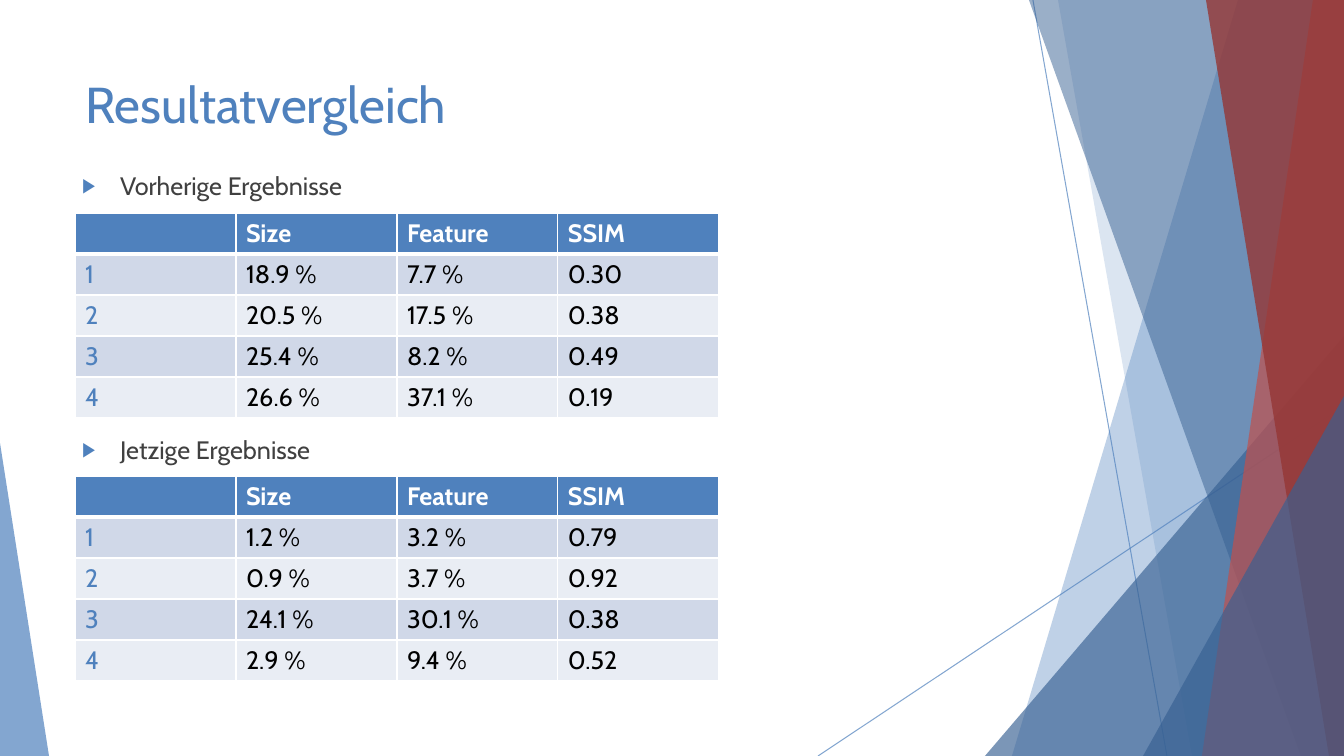
from dataclasses import dataclass

from lxml import etree
from pptx import Presentation
from pptx.dml.color import RGBColor
from pptx.enum.shapes import MSO_CONNECTOR, MSO_SHAPE
from pptx.enum.text import MSO_ANCHOR, MSO_AUTO_SIZE, PP_ALIGN
from pptx.oxml.ns import qn
from pptx.util import Pt

EMU_PER_PX = 914400 / 100.8
SLIDE_WIDTH, SLIDE_HEIGHT = 1344, 756
STRAIGHT = MSO_CONNECTOR.STRAIGHT
TRIANGLE = MSO_SHAPE.ISOSCELES_TRIANGLE
TOP = MSO_ANCHOR.TOP
NO_AUTOFIT = MSO_AUTO_SIZE.NONE
LEFT = PP_ALIGN.LEFT


@dataclass(frozen=True)
class Theme:
    font: str = "Cabin"
    title_size: int = 36
    text_size: int = 18
    blue: str = "4F81BD"
    dark_blue: str = "376092"
    red: str = "C0504D"
    dark_red: str = "953735"
    grey: str = "404040"
    black: str = "000000"
    white: str = "FFFFFF"
    odd_row: str = "D0D8E8"
    even_row: str = "E9EDF4"


THEME = Theme()

RESULT_HEADER = ["", "Size", "Feature", "SSIM"]
PREVIOUS_RESULTS = [
    ["1", "18.9 %", "7.7 %", "0.30"],
    ["2", "20.5 %", "17.5 %", "0.38"],
    ["3", "25.4 %", "8.2 %", "0.49"],
    ["4", "26.6 %", "37.1 %", "0.19"],
]
CURRENT_RESULTS = [
    ["1", "1.2 %", "3.2 %", "0.79"],
    ["2", "0.9 %", "3.7 %", "0.92"],
    ["3", "24.1 %", "30.1 %", "0.38"],
    ["4", "2.9 %", "9.4 %", "0.52"],
]


def px(length):
    return round(length * EMU_PER_PX)


def rgb(color):
    return RGBColor.from_string(color)


def write_text(paragraph, text, size=THEME.text_size, color=THEME.black, bold=False, space_before=0):
    paragraph.text = text
    paragraph.alignment = LEFT
    paragraph.space_before = Pt(space_before)
    font = paragraph.font
    font.name = THEME.font
    font.size = Pt(size)
    font.bold = bold
    font.color.rgb = rgb(color)


def set_alpha(parent, percent):
    """Make the solid colour inside a fill or line element transparent."""
    color = parent.find(".//" + qn("a:srgbClr"))
    etree.SubElement(color, qn("a:alpha"), val=str(percent * 1000))


def style_facet(shape, color, opacity):
    shape.shadow.inherit = False
    shape.line.fill.background()
    shape.fill.solid()
    shape.fill.fore_color.rgb = rgb(color)
    set_alpha(shape.fill._xPr, opacity)


def add_polygon(slide, points, color, opacity):
    scaled = [(px(x), px(y)) for x, y in points]
    builder = slide.shapes.build_freeform(*scaled[0], scale=1.0)
    builder.add_line_segments(scaled[1:], close=True)
    style_facet(builder.convert_to_shape(), color, opacity)


def add_right_facet(slide, top_x, bottom_x, color, opacity):
    """Fill from a slanted edge to the right side of the slide."""
    points = [(top_x, 0), (SLIDE_WIDTH, 0), (SLIDE_WIDTH, SLIDE_HEIGHT), (bottom_x, SLIDE_HEIGHT)]
    add_polygon(slide, points, color, opacity)


def add_corner_triangle(slide, left, top, width, apex, color, opacity):
    """Stand a triangle on the lower edge; apex is 0 for left and 1 for right."""
    shape = slide.shapes.add_shape(TRIANGLE, px(left), px(top), px(width), px(SLIDE_HEIGHT - top))
    shape.adjustments[0] = apex
    style_facet(shape, color, opacity)


def add_thin_line(slide, start, end):
    connector = slide.shapes.add_connector(STRAIGHT, *map(px, start + end))
    connector.line.color.rgb = rgb(THEME.blue)
    connector.line.width = Pt(0.75)
    set_alpha(connector.line._ln, 70)
    etree.SubElement(connector._element.spPr, qn("a:effectLst"))


def add_decoration(slide):
    add_thin_line(slide, (1033, 0), (1167, SLIDE_HEIGHT))
    add_thin_line(slide, (SLIDE_WIDTH, 406), (818, SLIDE_HEIGHT))
    add_right_facet(slide, 1238, 1012, THEME.blue, 36)
    add_right_facet(slide, 1058, 1192, THEME.blue, 20)
    add_corner_triangle(slide, 985, 336, 359, 1, THEME.dark_blue, 66)
    add_right_facet(slide, 1029, 1301, THEME.dark_blue, 50)
    add_right_facet(slide, 1313, 1202, THEME.red, 70)
    add_right_facet(slide, 1206, 1329, THEME.dark_red, 80)
    add_corner_triangle(slide, 1143, 396, 201, 1, THEME.dark_blue, 66)
    add_corner_triangle(slide, 0, 443, 49, 0, THEME.blue, 70)


def place(placeholder, left, top, width, height):
    placeholder.left, placeholder.top = px(left), px(top)
    placeholder.width, placeholder.height = px(width), px(height)
    frame = placeholder.text_frame
    frame.word_wrap = True
    frame.auto_size = NO_AUTOFIT
    frame.vertical_anchor = TOP
    return frame


def add_arrow_bullet(paragraph):
    properties = paragraph._p.get_or_add_pPr()
    properties.set("marL", str(px(38)))
    properties.set("indent", str(px(-38)))
    bullet_color = etree.SubElement(properties, qn("a:buClr"))
    etree.SubElement(bullet_color, qn("a:srgbClr"), val=THEME.blue)
    etree.SubElement(properties, qn("a:buSzPct"), val="80000")
    etree.SubElement(properties, qn("a:buChar"), char="▶")


def set_cell_borders(cell, top, bottom):
    properties = cell._tc.get_or_add_tcPr()
    widths = {"a:lnL": 1, "a:lnR": 1, "a:lnT": top, "a:lnB": bottom}
    for position, (tag, width) in enumerate(widths.items()):
        border = etree.Element(qn(tag), w=str(Pt(width)))
        fill = etree.SubElement(border, qn("a:solidFill"))
        etree.SubElement(fill, qn("a:srgbClr"), val=THEME.white)
        properties.insert(position, border)


def add_result_table(slide, top, results):
    rows = [RESULT_HEADER] + results
    column_width, row_height = 161, 41
    columns = len(RESULT_HEADER)
    table = slide.shapes.add_table(
        len(rows), columns, px(75), px(top), px(column_width * columns), px(row_height * len(rows))
    ).table
    table.horz_banding = False
    for row_index, row in enumerate(rows):
        header = row_index == 0
        row_fill = THEME.blue if header else THEME.odd_row if row_index % 2 else THEME.even_row
        for column_index, text in enumerate(row):
            cell = table.cell(row_index, column_index)
            cell.fill.solid()
            cell.fill.fore_color.rgb = rgb(row_fill)
            set_cell_borders(cell, top=3 if row_index == 1 else 1, bottom=3 if header else 1)
            color = THEME.white if header else THEME.black if column_index else THEME.blue
            write_text(cell.text_frame.paragraphs[0], text, color=color, bold=header)


def main():
    presentation = Presentation()
    presentation.slide_width, presentation.slide_height = px(SLIDE_WIDTH), px(SLIDE_HEIGHT)
    slide = presentation.slides.add_slide(presentation.slide_layouts[1])
    add_decoration(slide)

    title = place(slide.shapes.title, 75, 68, 948, 145)
    write_text(title.paragraphs[0], "Resultatvergleich", size=THEME.title_size, color=THEME.blue)

    add_result_table(slide, 213, PREVIOUS_RESULTS)
    add_result_table(slide, 476, CURRENT_RESULTS)

    body = place(slide.placeholders[1], 72, 165, 948, 427)
    headings = [("Vorherige Ergebnisse", 0), ("Jetzige Ergebnisse", 167)]
    for index, (heading, space_before) in enumerate(headings):
        paragraph = body.add_paragraph() if index else body.paragraphs[0]
        add_arrow_bullet(paragraph)
        write_text(paragraph, heading, color=THEME.grey, space_before=space_before)

    presentation.save("out.pptx")


if __name__ == "__main__":
    main()
